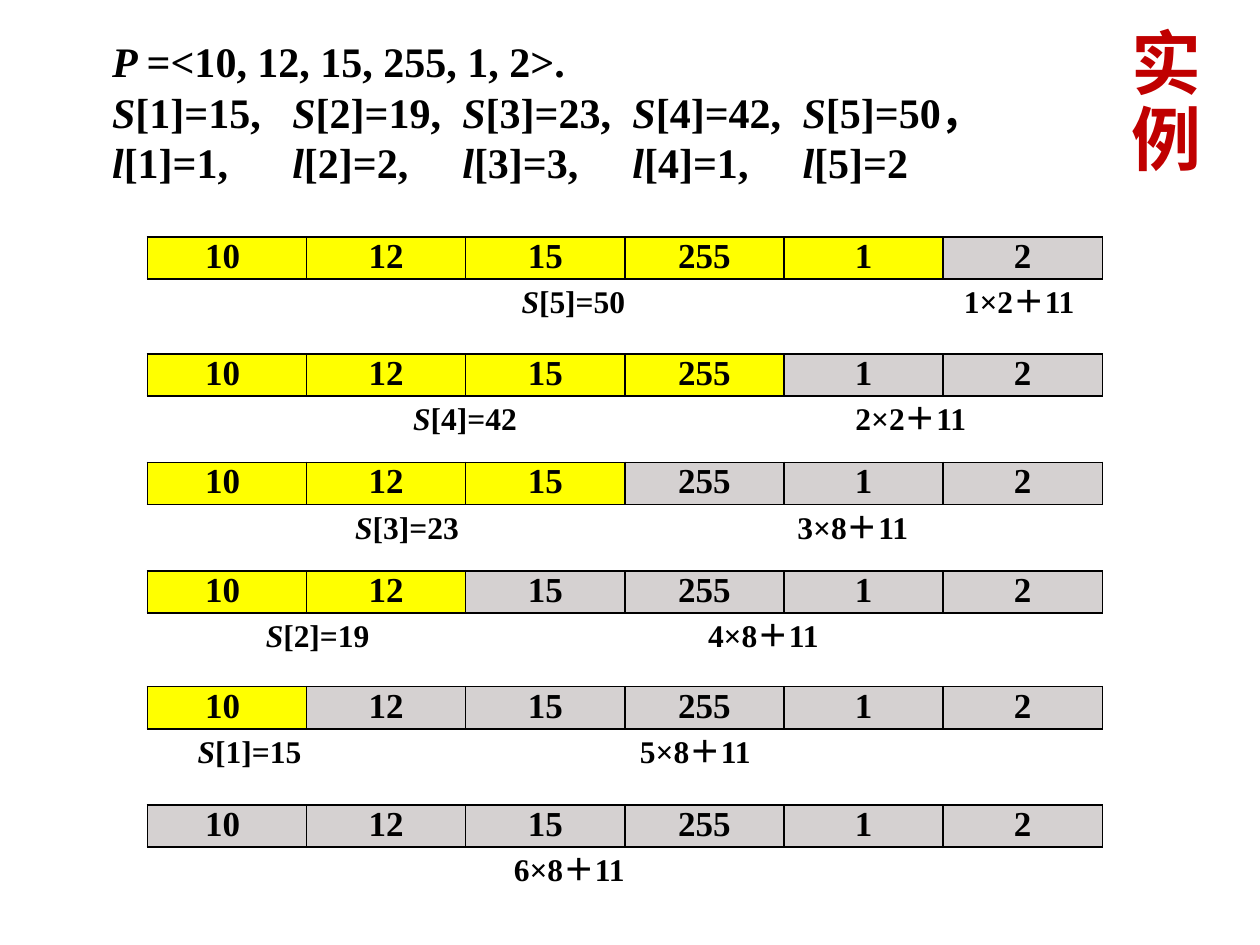
from lxml import etree
from pptx import Presentation
from pptx import util as u
from pptx.dml.color import RGBColor
from pptx.enum import text as t
from pptx.oxml.ns import qn

COLORS = {"ink": "000000", "title": "C00000", "packed": "FFFF00", "rest": "D5D1D1"}
SERIF = "Times New Roman"

TITLE = "实\v例"
# Each run is (text, italic)
GIVENS = [
    [("P ", True), ("=<10, 12, 15, 255, 1, 2>.", False)],
    [("S", True), ("[1]=15,\t", False), ("S", True), ("[2]=19,\t", False),
     ("S", True), ("[3]=23,\t", False), ("S", True), ("[4]=42,\t", False),
     ("S", True), ("[5]=50，", False)],
    [("l", True), ("[1]=1,\t", False), ("l", True), ("[2]=2,\t", False),
     ("l", True), ("[3]=3,\t", False), ("l", True), ("[4]=1,\t", False),
     ("l", True), ("[5]=2", False)],
]
SEQUENCE = ["10 ", "12", "15", "255", "1", "2"]
# Packed items, S value, cost of the last segment, top of row, left of caption
STEPS = [
    (5, 50, "1×2＋11", 1.88, 3.98),
    (4, 42, "2×2＋11", 2.81, 3.12),
    (3, 23, "3×8＋11", 3.67, 2.66),
    (2, 19, "4×8＋11", 4.53, 1.95),
    (1, 15, "5×8＋11", 5.45, 1.41),
    (0, None, "6×8＋11", 6.39, 3.98),
]

ROW_LEFT, ROW_WIDTH, ROW_HEIGHT = 1.17, 7.58, 0.33
CAPTION_DROP, CAPTION_WIDTH, CAPTION_HEIGHT = 0.31, 5, 0.4
GIVEN_TABS = [1.43 + 1.35 * i for i in range(4)]
COST_TAB = 3.51


def write(frame, lines, size, font=SERIF, color="ink", align=t.PP_ALIGN.LEFT, tabs=()):
    """Fill a text frame with lines of (text, italic) runs."""
    for i, line in enumerate(lines):
        paragraph = frame.paragraphs[0] if i == 0 else frame.add_paragraph()
        paragraph.alignment = align
        if tabs:
            stops = etree.SubElement(paragraph._p.get_or_add_pPr(), qn("a:tabLst"))
            for stop in tabs:
                etree.SubElement(stops, qn("a:tab"), pos=str(int(u.Inches(stop))), algn="l")
        for words, italic in line:
            for j, part in enumerate(words.split("\v")):
                if j:
                    paragraph.add_line_break()
                run = paragraph.add_run()
                run.text = part
                run.font.size = u.Pt(size)
                run.font.name = font
                run.font.bold = True
                run.font.italic = italic
                run.font.color.rgb = RGBColor.from_string(COLORS[color])


def add_frame(slide, left, top, width, height, anchor=t.MSO_ANCHOR.TOP, inset=0.1):
    box = slide.shapes.add_textbox(*map(u.Inches, (left, top, width, height)))
    frame = box.text_frame
    frame.word_wrap = True
    frame.vertical_anchor = anchor
    frame.margin_left = u.Inches(inset)
    return frame


def add_borders(cell):
    properties = cell._tc.get_or_add_tcPr()
    for i, side in enumerate(("a:lnL", "a:lnR", "a:lnT", "a:lnB")):
        line = etree.Element(qn(side), w=str(int(u.Pt(1))))
        fill = etree.SubElement(line, qn("a:solidFill"))
        etree.SubElement(fill, qn("a:srgbClr"), val=COLORS["ink"])
        properties.insert(i, line)


def add_sequence(slide, top, packed):
    """Draw the sequence as one row, its first packed items highlighted."""
    table = slide.shapes.add_table(
        1, len(SEQUENCE), *map(u.Inches, (ROW_LEFT, top, ROW_WIDTH, ROW_HEIGHT))).table
    table.first_row = table.horz_banding = False
    for i, item in enumerate(SEQUENCE):
        table.columns[i].width = u.Inches(ROW_WIDTH / len(SEQUENCE))
        cell = table.cell(0, i)
        cell.margin_left = cell.margin_right = u.Inches(0.07)
        cell.margin_top = cell.margin_bottom = 0
        cell.fill.solid()
        shade = COLORS["packed" if i < packed else "rest"]
        cell.fill.fore_color.rgb = RGBColor.from_string(shade)
        add_borders(cell)
        write(cell.text_frame, [[(item, False)]], 20, align=t.PP_ALIGN.CENTER)


def add_caption(slide, left, top, packed, total, cost):
    if packed:
        line = [("S", True), (f"[{packed}]={total}\t{cost}", False)]
        inset, tabs = 0.16, [COST_TAB]
    else:
        line, inset, tabs = [(cost, False)], 0.1, ()
    frame = add_frame(slide, left, top, CAPTION_WIDTH, CAPTION_HEIGHT, inset=inset)
    write(frame, [line], 18, tabs=tabs)


def main():
    deck = Presentation()
    deck.slide_width, deck.slide_height = u.Inches(10), u.Inches(7.5)
    slide = deck.slides.add_slide(deck.slide_layouts[6])

    title = add_frame(slide, 8.75, 0.17, 1.02, 1.32, t.MSO_ANCHOR.MIDDLE)
    write(title, [[(TITLE, False)]], 40, "Calibri", "title", t.PP_ALIGN.CENTER)
    title.paragraphs[0].line_spacing = 0.9

    givens = add_frame(slide, 0.47, 0.23, 9.77, 1.31, t.MSO_ANCHOR.MIDDLE, inset=0.42)
    write(givens, GIVENS, 24, tabs=GIVEN_TABS)

    for packed, total, cost, top, caption_left in STEPS:
        add_sequence(slide, top, packed)
        add_caption(slide, caption_left, top + CAPTION_DROP, packed, total, cost)

    deck.save("out.pptx")


if __name__ == "__main__":
    main()
